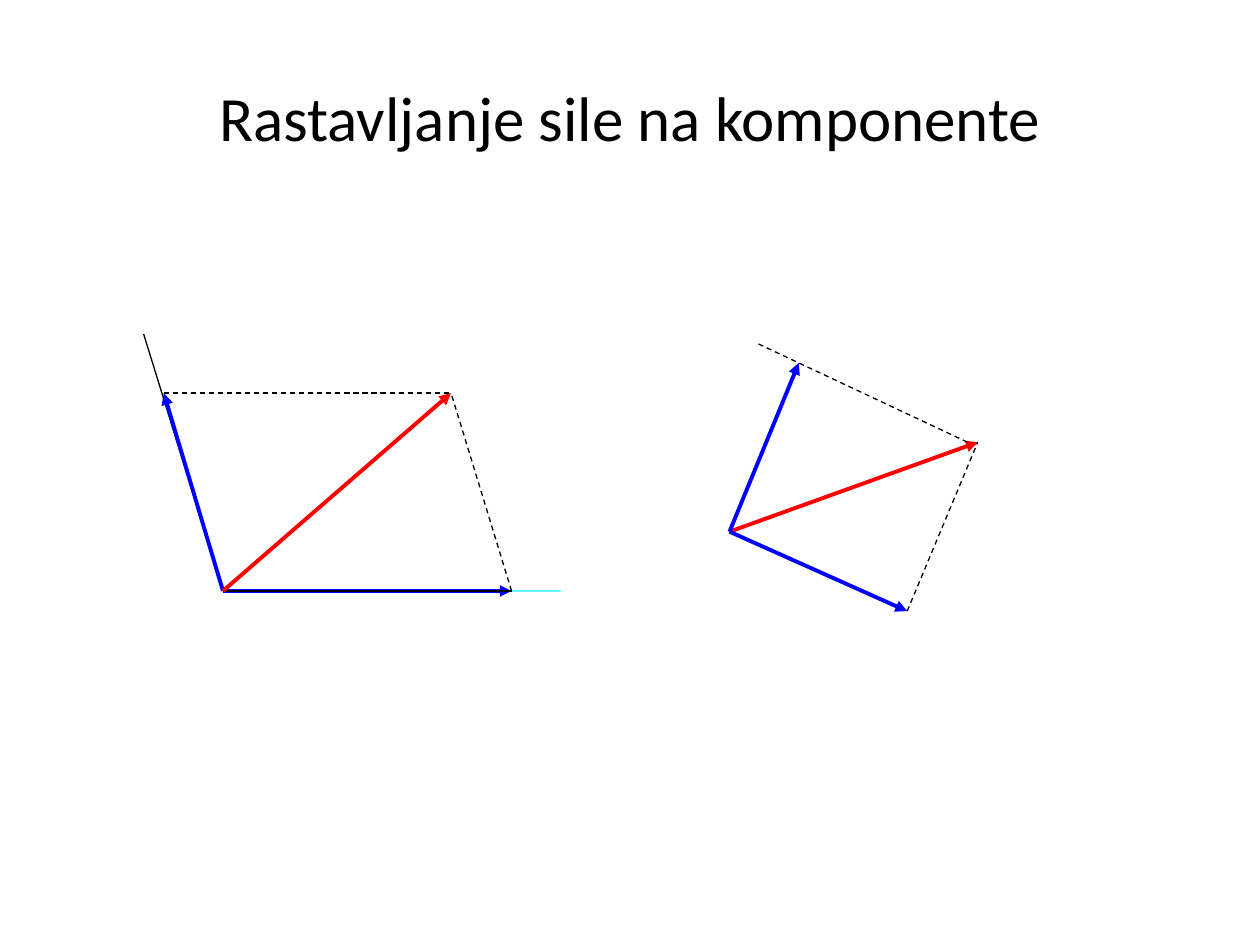
from dataclasses import dataclass

from pptx import Presentation
from pptx.dml.color import RGBColor
from pptx.enum.dml import MSO_LINE_DASH_STYLE as Dash
from pptx.enum.shapes import MSO_CONNECTOR as Connector
from pptx.enum.text import MSO_ANCHOR as Anchor, PP_ALIGN as Align
from pptx.oxml.ns import qn
from pptx.util import Inches, Pt
from lxml.etree import SubElement


@dataclass(frozen=True)
class Theme:
    font: str = "Calibri"
    title_size: float = 36
    ink: str = "000000"
    resultant: str = "FF0000"
    component: str = "0000FF"
    axis: str = "66FFFF"
    thin: float = 0.75
    thick: float = 2.25


THEME = Theme()
COLUMNS, ROWS = 100, 75
CELL = Inches(10) // COLUMNS


def grid(cells):
    return round(cells * CELL)


def add_text(slide, text, left, top, width, height, *, size, color=THEME.ink,
             align=Align.CENTER, anchor=Anchor.MIDDLE):
    box = slide.shapes.add_textbox(*map(grid, (left, top, width, height)))
    frame = box.text_frame
    frame.word_wrap = True
    frame.vertical_anchor = anchor
    paragraph = frame.paragraphs[0]
    paragraph.text = text
    paragraph.alignment = align
    font = paragraph.runs[0].font
    font.name = THEME.font
    font.size = Pt(size)
    font.color.rgb = RGBColor.from_string(color)


def add_line(slide, start, end, color=THEME.ink, weight=THEME.thin, dashed=False):
    segment = slide.shapes.add_connector(
        Connector.STRAIGHT, *map(grid, (*start, *end)))
    segment.line.color.rgb = RGBColor.from_string(color)
    segment.line.width = Pt(weight)
    if dashed:
        segment.line.dash_style = Dash.DASH
    SubElement(segment._element.spPr, qn("a:effectLst"))
    return segment


def add_force(slide, start, end, color):
    force = add_line(slide, start, end, color, THEME.thick)
    SubElement(force.line._get_or_add_ln(), qn("a:tailEnd"), type="triangle")


def draw_oblique_components(slide):
    origin, tip = (17.7, 46.9), (35.8, 31.2)
    horizontal, slanted = (40.6, 46.9), (13, 31.2)
    axis_end = (44.5, 46.9)

    add_force(slide, origin, horizontal, THEME.component)
    add_line(slide, origin, axis_end)
    add_line(slide, horizontal, tip, dashed=True)
    add_line(slide, origin, (11.4, 26.5))
    add_force(slide, origin, slanted, THEME.component)
    add_force(slide, origin, tip, THEME.resultant)
    add_line(slide, horizontal, axis_end, THEME.axis)
    add_line(slide, slanted, tip, dashed=True)


def draw_perpendicular_components(slide):
    origin, tip = (57.9, 42.2), (77.6, 35.1)
    lower, upper = (72, 48.5), (63.4, 28.8)

    add_force(slide, origin, tip, THEME.resultant)
    add_force(slide, origin, lower, THEME.component)
    add_line(slide, lower, tip, dashed=True)
    add_line(slide, (60.2, 27.3), (76.8, 35.1), dashed=True)
    add_force(slide, origin, upper, THEME.component)


def main():
    deck = Presentation()
    deck.slide_width, deck.slide_height = grid(COLUMNS), grid(ROWS)
    slide = deck.slides.add_slide(deck.slide_layouts[6])

    # Title
    add_text(slide, "Rastavljanje sile na komponente", 5, 3, 90, 12.5,
             size=THEME.title_size)

    # Force parallelograms
    draw_oblique_components(slide)
    draw_perpendicular_components(slide)

    deck.save("out.pptx")


if __name__ == "__main__":
    main()
